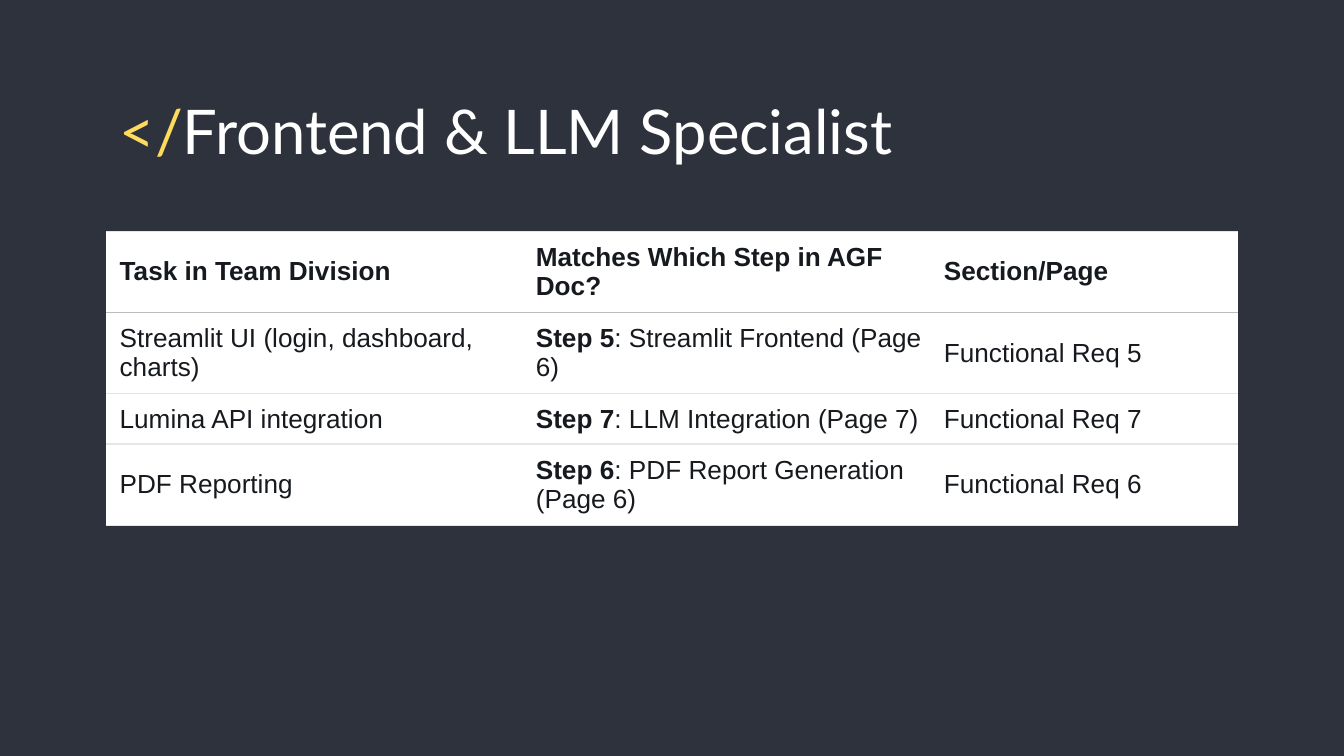
import pptx
import pptx.util
import pptx.dml.color
import pptx.enum.text
import pptx.oxml
import pptx.oxml.ns

Pt = pptx.util.Pt


def paint(code):
    return pptx.dml.color.RGBColor.from_string(code)


class Deck:
    """Holds the style and the current slide, and draws its elements."""

    back, white, gold, ink = "2D323C", "FFFFFF", "FFDB5D", "16191E"
    rule, pale = "BBBBBB", "E5E5E5"
    head, body = "Lato", "Arial"

    def __init__(self, wide, high):
        self.file = pptx.Presentation()
        self.file.slide_width, self.file.slide_height = Pt(wide), Pt(high)
        self.slide = self.file.slides.add_slide(self.file.slide_layouts[6])
        fill = self.slide.background.fill
        fill.solid()
        fill.fore_color.rgb = paint(self.back)

    def label(self, para, parts, face, size):
        for text, code, bold in parts:
            run = para.add_run()
            run.text = text
            run.font.name, run.font.size, run.font.bold = face, Pt(size), bold
            run.font.color.rgb = paint(code)

    def title(self, mark, text, left, top, wide, high):
        box = self.slide.shapes.add_textbox(Pt(left), Pt(top), Pt(wide), Pt(high))
        frame = box.text_frame
        frame.word_wrap = True
        frame.margin_left = frame.margin_right = Pt(7.2)
        frame.margin_top = frame.margin_bottom = Pt(7.2)
        parts = [(mark, self.gold, False), (text, self.white, False)]
        self.label(frame.paragraphs[0], parts, self.head, 33)

    def edge(self, cell, lines):
        props = cell._tc.get_or_add_tcPr()
        space = pptx.oxml.ns.nsdecls("a")
        for spot, (side, code) in enumerate(lines):
            fill = f'<a:solidFill><a:srgbClr val="{code}"/></a:solidFill>' if code else "<a:noFill/>"
            line = f'<a:ln{side} {space} w="{Pt(0.67)}">{fill}</a:ln{side}>'
            props.insert(spot, pptx.oxml.parse_xml(line))

    def cell(self, cell, parts, first, lines):
        cell.fill.solid()
        cell.fill.fore_color.rgb = paint(self.white)
        cell.vertical_anchor = pptx.enum.text.MSO_ANCHOR.MIDDLE
        cell.margin_left = Pt(7.2 if first else 5)
        cell.margin_right = cell.margin_top = cell.margin_bottom = Pt(5)
        self.label(cell.text_frame.paragraphs[0], parts, self.body, 14)
        self.edge(cell, lines)

    def table(self, rows, left, top, cols, highs):
        shape = self.slide.shapes.add_table(
            len(rows), len(cols), Pt(left), Pt(top), Pt(sum(cols)), Pt(sum(highs)))
        grid = shape.table
        for col, wide in zip(grid.columns, cols):
            col.width = Pt(wide)
        for r, (row, high) in enumerate(zip(rows, highs)):
            grid.rows[r].height = Pt(high)
            over = self.rule if r == 1 else self.pale
            under = self.rule if r == 0 else self.pale
            lines = [("L", None), ("R", None), ("T", over), ("B", under)]
            for c, text in enumerate(row):
                step, colon, rest = text.partition(":")
                parts = [(step, self.ink, r == 0 or bool(colon))]
                if colon:
                    parts.append((colon + rest, self.ink, False))
                self.cell(grid.cell(r, c), parts, c == 0, lines)


def main():
    deck = Deck(720, 405)
    deck.title("</", "Frontend & LLM Specialist", 56.9, 42.5, 607, 45.4)
    rows = [
        ("Task in Team Division", "Matches Which Step in AGF Doc?", "Section/Page"),
        ("Streamlit UI (login, dashboard, charts)",
         "Step 5: Streamlit Frontend (Page 6)", "Functional Req 5"),
        ("Lumina API integration", "Step 7: LLM Integration (Page 7)", "Functional Req 7"),
        ("PDF Reporting", "Step 6: PDF Report Generation (Page 6)", "Functional Req 6"),
    ]
    deck.table(rows, 56.9, 123.8, [225.2, 218.6, 162.6], [41.4, 41.4, 25.7, 41.4])
    deck.file.save("out.pptx")


if __name__ == "__main__":
    main()
